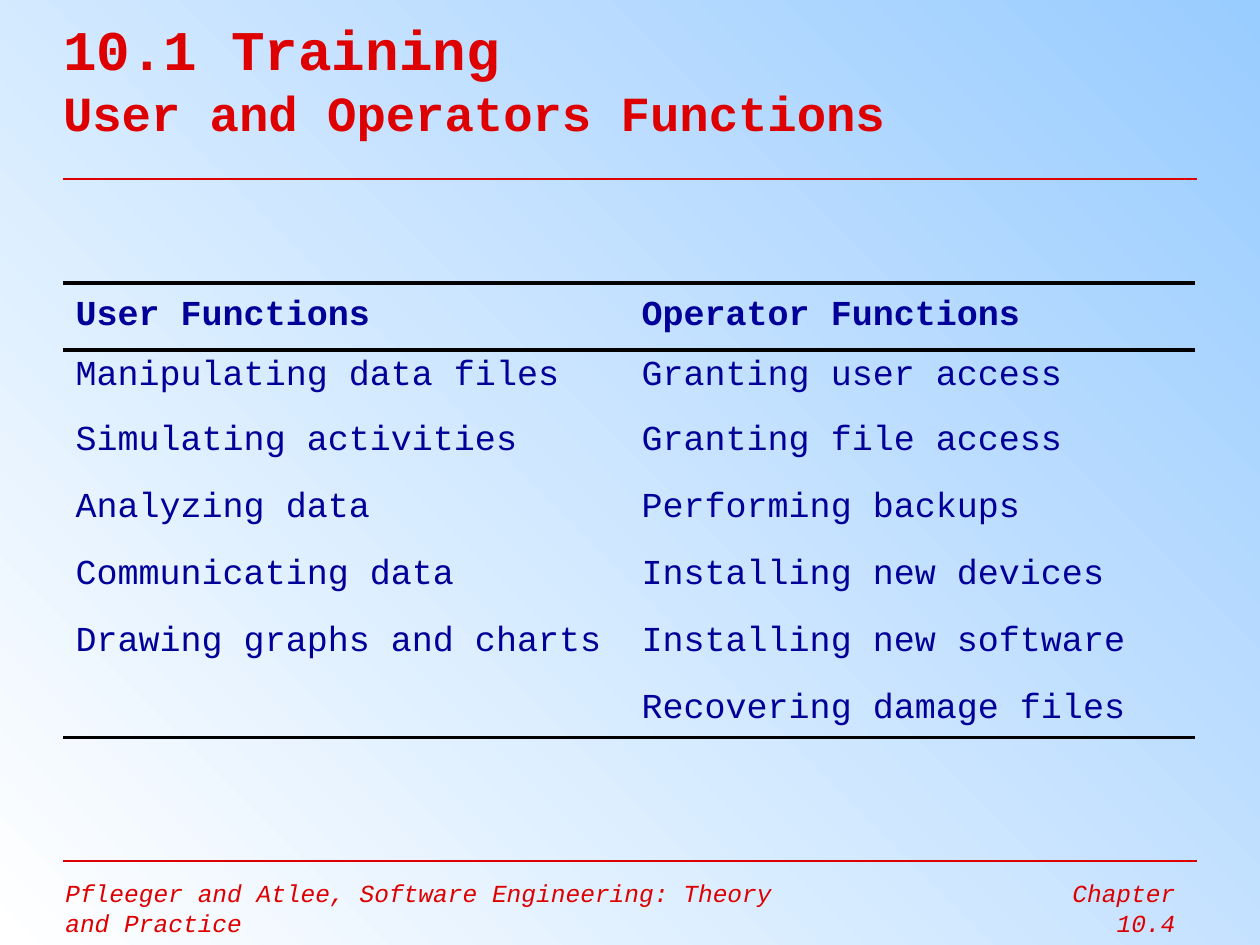
from lxml import etree
from pptx import Presentation, util as u
from pptx.dml.color import RGBColor
from pptx.enum import shapes, text
from pptx.oxml.ns import qn

PX = 914400 // 126
RED = RGBColor(0xDE, 0x00, 0x00)
NAVY = RGBColor(0x00, 0x00, 0x99)
BLACK = RGBColor(0x00, 0x00, 0x00)
SKY = RGBColor(0x99, 0xCC, 0xFF)
WHITE = RGBColor(0xFF, 0xFF, 0xFF)
FONT = "Courier New"

# Content
TITLE = [("10.1 Training", 32), ("User and Operators Functions", 28)]
FOOTERS = [  # text, box in px, alignment
    ("Pfleeger and Atlee, Software Engineering: Theory and Practice",
     (53, 872, 756, 73), text.PP_ALIGN.LEFT),
    ("Chapter 10.4", (987, 872, 201, 42), text.PP_ALIGN.RIGHT),
]
RULES = [(179, 1.5), (861, 0.75)]  # y in px, width in points
ROWS = [
    ("User Functions", "Operator Functions"),
    ("Manipulating data files", "Granting user access"),
    ("Simulating activities", "Granting file access"),
    ("Analyzing data", "Performing backups"),
    ("Communicating data", "Installing new devices"),
    ("Drawing graphs and charts", "Installing new software"),
    ("", "Recovering damage files"),
]
ROW_HEIGHTS = [67, 65] + [67] * 4 + [52]
LEFT, RIGHT, TABLE_TOP, COL_WIDTH = 63, 1197, 283, 566


def px(*values):
    return [v * PX for v in values]


def style(font, **formats):
    font.name = FONT
    font.color.rgb = formats.pop("color")
    for name, value in formats.items():
        setattr(font, name, value)


def text_box(s, box):
    tf = s.shapes.add_textbox(*px(*box)).text_frame
    tf.word_wrap = True
    return tf


def border(cell, visible):
    """Draw the named sides of a cell in black and hide the others."""
    tcPr = cell._tc.get_or_add_tcPr()
    for i, side in enumerate("LRTB"):
        ln = etree.Element(qn("a:ln" + side), w=str(u.Pt(2.25)))
        if side in visible:
            fill = etree.SubElement(ln, qn("a:solidFill"))
            etree.SubElement(fill, qn("a:srgbClr"), val=str(BLACK))
        else:
            etree.SubElement(ln, qn("a:noFill"))
        tcPr.insert(i, ln)


prs = Presentation()
prs.slide_width, prs.slide_height = px(1260, 945)
s = prs.slides.add_slide(prs.slide_layouts[6])

# Background gradient
bg = s.background.fill
bg.gradient()
bg.gradient_angle = 225
for stop, color in zip(bg.gradient_stops, (SKY, WHITE)):
    stop.color.rgb = color

# Footers
for words, box, align in FOOTERS:
    p = text_box(s, box).paragraphs[0]
    p.alignment = align
    r = p.add_run()
    r.text = words
    style(r.font, size=u.Pt(14), italic=True, color=RED)

# Red rules
for y, width in RULES:
    line = s.shapes.add_connector(shapes.MSO_CONNECTOR.STRAIGHT, *px(LEFT, y, RIGHT, y))
    line.line.color.rgb = RED
    line.line.width = u.Pt(width)
    etree.SubElement(line._element.spPr, qn("a:effectLst"))

# Title
tf = text_box(s, (LEFT, 0, 2 * COL_WIDTH, 156))
tf.vertical_anchor = text.MSO_ANCHOR.MIDDLE
tf.margin_left = tf.margin_right = tf.margin_top = tf.margin_bottom = 0
p = tf.paragraphs[0]
for i, (words, size) in enumerate(TITLE):
    if i:
        p.add_line_break()
    r = p.add_run()
    r.text = words
    style(r.font, size=u.Pt(size), bold=True, color=RED)

# Functions table
table = s.shapes.add_table(
    len(ROWS), 2, *px(LEFT, TABLE_TOP, 2 * COL_WIDTH, sum(ROW_HEIGHTS))).table
table.first_row = table.horz_banding = False
for col in table.columns:
    col.width = COL_WIDTH * PX
for i, (row, height) in enumerate(zip(ROWS, ROW_HEIGHTS)):
    table.rows[i].height = height * PX
    header = i == 0
    sides = {0: "TB", 1: "T", len(ROWS) - 1: "B"}.get(i, "")
    for j, words in enumerate(row):
        cell = table.cell(i, j)
        cell.fill.background()
        border(cell, sides)
        cell.vertical_anchor = text.MSO_ANCHOR.MIDDLE if header else text.MSO_ANCHOR.TOP
        if words:
            r = cell.text_frame.paragraphs[0].add_run()
            r.text = words
            style(r.font, size=u.Pt(20), bold=header, color=NAVY)

prs.save("out.pptx")
